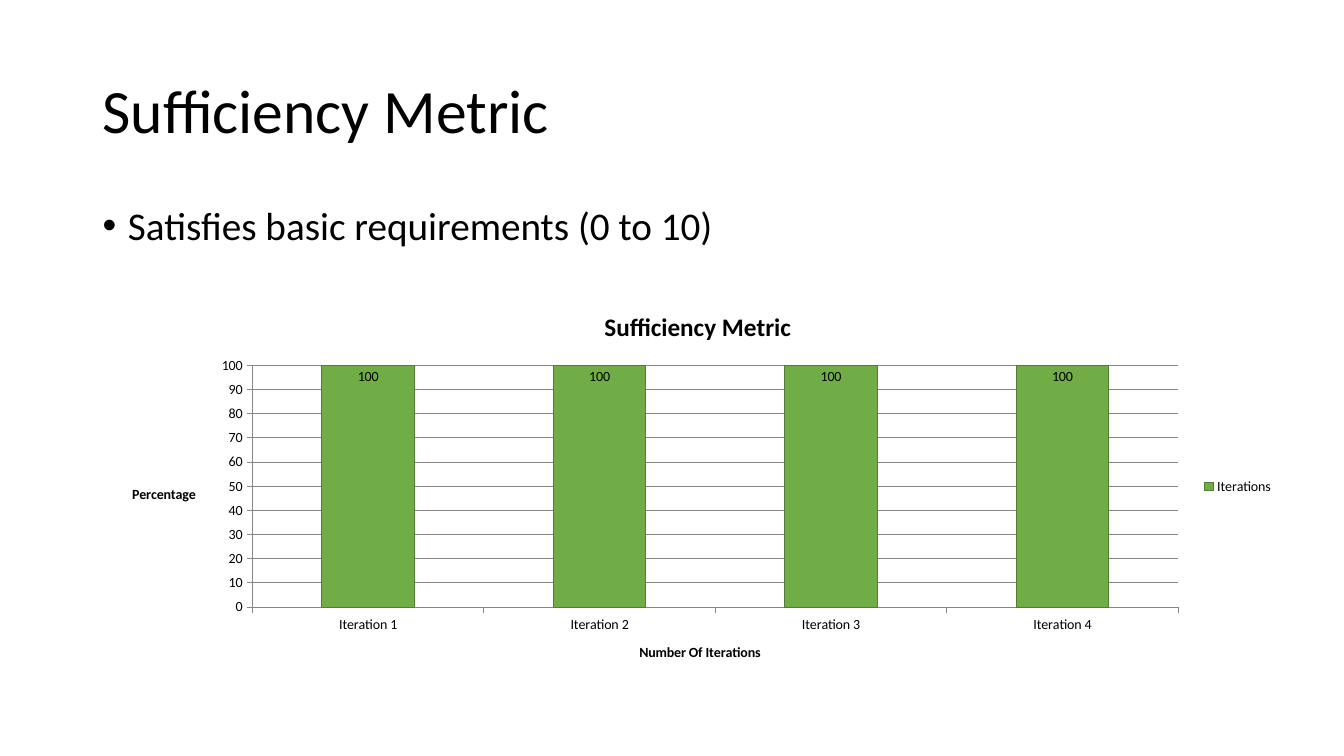
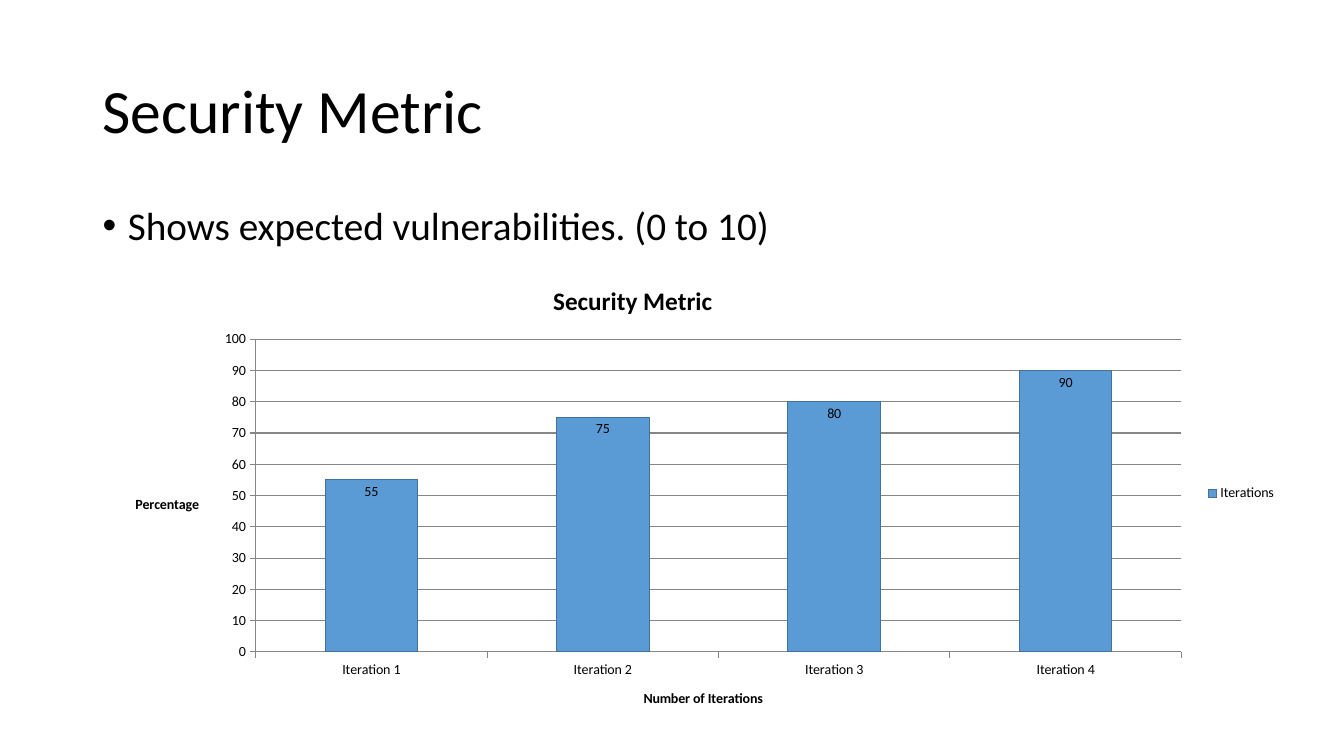
from dataclasses import dataclass
from typing import Optional

import lxml.etree
import pptx
import pptx.chart.axis
import pptx.chart.chart
import pptx.chart.data
import pptx.dml.color
import pptx.enum.chart
import pptx.enum.text
import pptx.oxml.ns
import pptx.presentation
import pptx.shapes.placeholder
import pptx.text.text
import pptx.util

Cm = pptx.util.Cm
Pt = pptx.util.Pt
RGB = pptx.dml.color.RGBColor
qn = pptx.oxml.ns.qn


@dataclass(frozen=True)
class Theme:
    font: str = "Calibri"
    ink: RGB = RGB(0x00, 0x00, 0x00)
    rule: RGB = RGB(0x86, 0x86, 0x86)
    green: RGB = RGB(0x70, 0xAD, 0x47)
    green_edge: RGB = RGB(0x50, 0x7E, 0x32)
    blue: RGB = RGB(0x5B, 0x9B, 0xD5)
    blue_edge: RGB = RGB(0x41, 0x71, 0x9C)
    heading_size: int = 44
    bullet_size: int = 28
    chart_title_size: int = 18
    chart_size: int = 10


@dataclass(frozen=True)
class Box:
    left: float
    top: float
    width: float
    height: float

    def lengths(self) -> tuple[int, int, int, int]:
        return Cm(self.left), Cm(self.top), Cm(self.width), Cm(self.height)


@dataclass(frozen=True)
class Metric:
    heading: str
    bullet: str
    iterations_title: str
    scores: tuple[int, ...]
    fill: RGB
    edge: RGB
    frame: Box
    plot: Box
    title_corner: Optional[tuple[float, float]] = None


THEME = Theme()
HEADING_BOX = Box(2.33, 1.02, 29.21, 3.68)
BULLET_BOX = Box(2.33, 5.08, 29.21, 12.09)

METRICS = (
    Metric("Sufficiency Metric", "Satisfies basic requirements (0 to 10)",
           "Number Of Iterations", (100, 100, 100, 100),
           THEME.green, THEME.green_edge,
           Box(2.82, 7.34, 29.53, 9.83), Box(0.12, 0.19, 0.79, 0.62)),
    Metric("Security Metric", "Shows expected vulnerabilities. (0 to 10)",
           "Number of Iterations", (55, 75, 80, 90),
           THEME.blue, THEME.blue_edge,
           Box(2.9, 6.55, 29.53, 11.76), Box(0.12, 0.17, 0.79, 0.67),
           title_corner=(0.37, 0.04)),
)


def style_runs(paragraph: pptx.text.text._Paragraph, size: int, bold: bool = False) -> None:
    for run in paragraph.runs:
        run.font.name = THEME.font
        run.font.size = Pt(size)
        run.font.bold = bold
        run.font.color.rgb = THEME.ink


def fill_placeholder(holder: pptx.shapes.placeholder.SlidePlaceholder, text: str,
                     box: Box, size: int,
                     anchor: pptx.enum.text.MSO_ANCHOR) -> pptx.text.text._Paragraph:
    holder.left, holder.top, holder.width, holder.height = box.lengths()
    frame = holder.text_frame
    frame.text = text
    frame.word_wrap = True
    frame.auto_size = pptx.enum.text.MSO_AUTO_SIZE.NONE
    frame.vertical_anchor = anchor
    paragraph = frame.paragraphs[0]
    paragraph.alignment = pptx.enum.text.PP_ALIGN.LEFT
    paragraph.line_spacing = 0.9
    style_runs(paragraph, size)
    return paragraph


def set_bullet(paragraph: pptx.text.text._Paragraph) -> None:
    paragraph.space_before = Pt(10)
    properties = paragraph._p.get_or_add_pPr()
    properties.set("marL", str(Cm(0.64)))
    properties.set("indent", str(-Cm(0.64)))
    lxml.etree.SubElement(properties, qn("a:buFont")).set("typeface", "Arial")
    lxml.etree.SubElement(properties, qn("a:buChar")).set("char", "•")


def set_layout(parent: lxml.etree._Element, settings: dict[str, object]) -> None:
    layout = parent.find(qn("c:layout"))
    if layout is None:
        layout = lxml.etree.Element(qn("c:layout"))
        text = parent.find(qn("c:tx"))
        parent.insert(0 if text is None else 1, layout)
    manual = lxml.etree.SubElement(layout, qn("c:manualLayout"))
    for tag, value in settings.items():
        lxml.etree.SubElement(manual, qn(f"c:{tag}")).set("val", str(value))


def style_axis(axis: pptx.chart.axis._BaseAxis, title: str) -> None:
    axis.format.line.color.rgb = THEME.rule
    axis.major_tick_mark = pptx.enum.chart.XL_TICK_MARK.OUTSIDE
    frame = axis.axis_title.text_frame
    frame.text = title
    style_runs(frame.paragraphs[0], THEME.chart_size, bold=True)
    body = frame._txBody.bodyPr
    body.set("rot", "0")
    body.set("vert", "horz")


def style_chart_title(chart: pptx.chart.chart.Chart, metric: Metric) -> None:
    title = chart.chart_title
    title.text_frame.text = metric.heading
    style_runs(title.text_frame.paragraphs[0], THEME.chart_title_size, bold=True)
    if metric.title_corner:
        x, y = metric.title_corner
        set_layout(title._element, {"xMode": "edge", "yMode": "edge", "x": x, "y": y})


def style_columns(chart: pptx.chart.chart.Chart, metric: Metric) -> None:
    columns = chart.plots[0]
    columns.gap_width = 150
    columns.vary_by_categories = False
    iterations = columns.series[0]
    iterations.format.fill.solid()
    iterations.format.fill.fore_color.rgb = metric.fill
    iterations.format.line.color.rgb = metric.edge
    iterations.format.line.width = Pt(0.75)
    labels = iterations.data_labels
    labels.show_value = True
    labels.position = pptx.enum.chart.XL_LABEL_POSITION.INSIDE_END
    labels.font.name = THEME.font
    labels.font.size = Pt(THEME.chart_size)
    labels.font.color.rgb = THEME.ink


def add_metric_chart(slide: pptx.slide.Slide, metric: Metric) -> None:
    data = pptx.chart.data.CategoryChartData()
    data.categories = [f"Iteration {n}" for n in range(1, len(metric.scores) + 1)]
    data.add_series("Iterations", metric.scores)
    chart = slide.shapes.add_chart(
        pptx.enum.chart.XL_CHART_TYPE.COLUMN_CLUSTERED, *metric.frame.lengths(), data).chart
    chart.font.name = THEME.font
    chart.font.size = Pt(THEME.chart_size)
    chart.font.color.rgb = THEME.ink
    style_chart_title(chart, metric)
    style_columns(chart, metric)

    style_axis(chart.category_axis, metric.iterations_title)
    percentage = chart.value_axis
    style_axis(percentage, "Percentage")
    percentage.minimum_scale = 0
    percentage.maximum_scale = 100
    percentage.major_unit = 10
    percentage.has_major_gridlines = True
    percentage.major_gridlines.format.line.color.rgb = THEME.rule

    chart.has_legend = True
    chart.legend.position = pptx.enum.chart.XL_LEGEND_POSITION.RIGHT
    chart.legend.include_in_layout = False
    plot = metric.plot
    set_layout(chart._chartSpace.find(".//" + qn("c:plotArea")), {
        "layoutTarget": "inner", "xMode": "edge", "yMode": "edge",
        "x": plot.left, "y": plot.top, "w": plot.width, "h": plot.height})


def add_metric_slide(deck: pptx.presentation.Presentation, metric: Metric) -> None:
    slide = deck.slides.add_slide(deck.slide_layouts[1])
    fill_placeholder(slide.shapes.title, metric.heading, HEADING_BOX,
                     THEME.heading_size, pptx.enum.text.MSO_ANCHOR.MIDDLE)
    set_bullet(fill_placeholder(slide.placeholders[1], metric.bullet, BULLET_BOX,
                                THEME.bullet_size, pptx.enum.text.MSO_ANCHOR.TOP))
    add_metric_chart(slide, metric)


def main() -> None:
    deck = pptx.Presentation()
    deck.slide_width, deck.slide_height = Cm(33.87), Cm(19.05)
    for metric in METRICS:
        add_metric_slide(deck, metric)
    deck.save("out.pptx")


if __name__ == "__main__":
    main()
